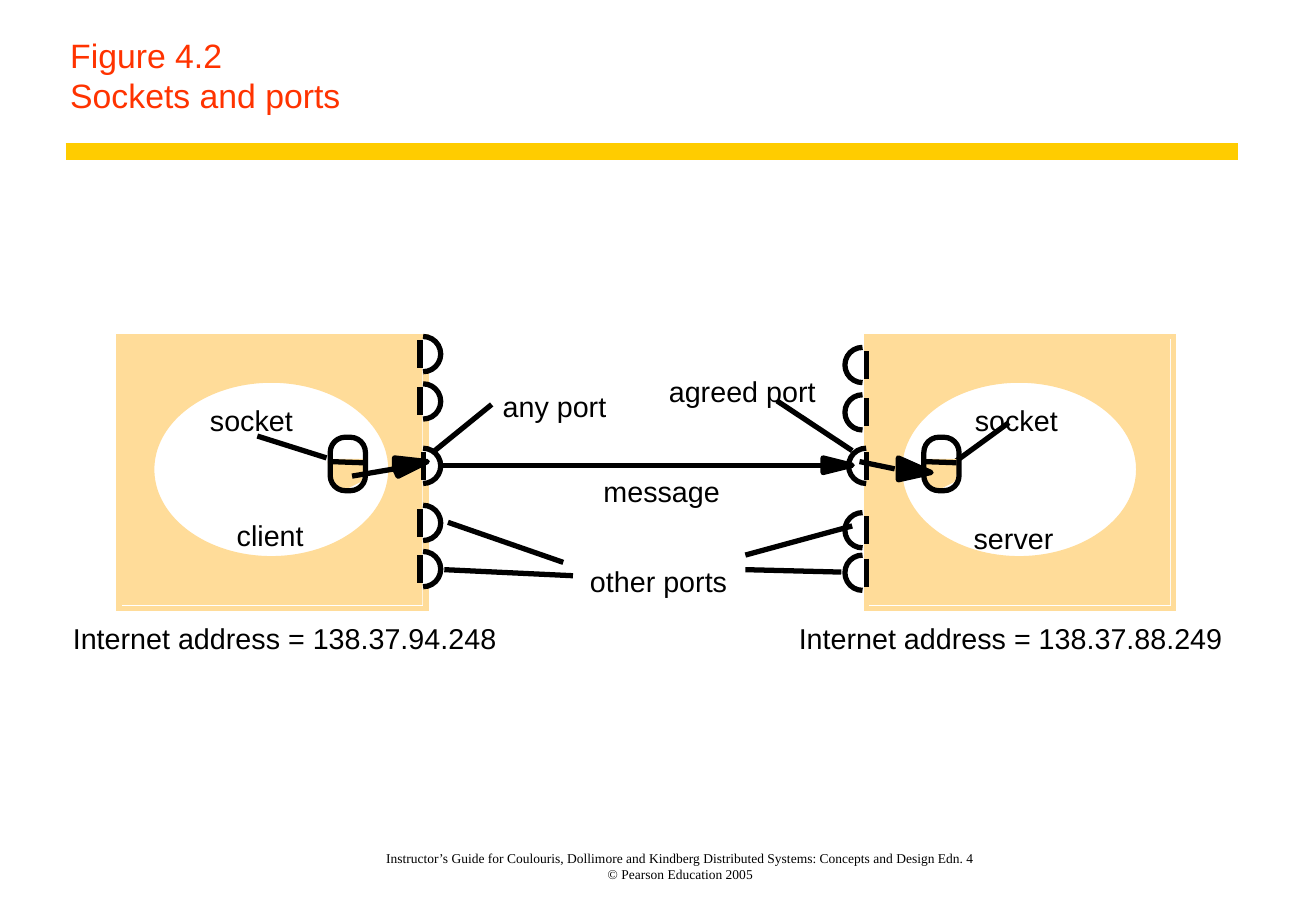
import pptx
import pptx.util
import pptx.dml.color
import pptx.enum.shapes
import pptx.enum.text
import pptx.oxml
import pptx.oxml.ns

PX = 9144  # EMU per px, 100 px to the inch
SHAPE = pptx.enum.shapes.MSO_SHAPE
ANCHOR = pptx.enum.text.MSO_ANCHOR
ALIGN = pptx.enum.text.PP_ALIGN
FIT = pptx.enum.text.MSO_AUTO_SIZE
BLACK, WHITE, SAND, YELLOW, RED = "000000", "FFFFFF", "FFDC99", "FFCC00", "FF3300"
STROKE = 3.12

TITLE = "Figure 4.2\vSockets and ports"
FOOTER = ("Instructor’s Guide for Coulouris, Dollimore and Kindberg "
          "Distributed Systems: Concepts and Design Edn. 4\v© Pearson Education 2005")
LABELS = [  # text, left, top, width
    ("message", 497, 390, 98), ("agreed port", 551, 308, 123),
    ("any port", 414, 320, 88), ("other ports", 486, 464, 115),
    ("socket", 173, 332, 70), ("socket", 803, 332, 70),
    ("client", 195, 426, 57), ("server", 802, 429, 68),
    ("Internet address = 138.37.94.248", 60, 511, 351),
    ("Internet address = 138.37.88.249", 658, 511, 351),
]
HOST_LEFTS = [98, 714]
SOCKET_LEFTS = [272, 761]
PORT_SIZE = 29
RIGHT_HALF, LEFT_HALF = (162, 54), (54, 162)  # arc angles, 0.6 degree units
PORT_GROUPS = [  # half drawn, left, bar x, tops
    (RIGHT_HALF, 334, 346, [277, 316, 416, 454]),
    (RIGHT_HALF, 334, 349, [369]),
    (LEFT_HALF, 696, 714, [286, 325, 422, 457]),
    (LEFT_HALF, 699, 714, [369]),
]
LEADERS = [
    (357, 372, 405, 333), (702, 371, 640, 330), (269, 377, 212, 359),
    (787, 380, 831, 348), (464, 463, 369, 430), (472, 474, 366, 469),
    (693, 471, 614, 469), (614, 457, 702, 433),
]
ARROWS = [  # shaft, head outline
    ((363, 383, 678, 383), [(678, 383), (678, 377), (702, 383), (678, 389)]),
    ((290, 392, 325, 386), [(325, 386), (325, 377), (352, 380), (328, 392)]),
    ((708, 380, 737, 386), [(740, 386), (740, 377), (767, 389), (740, 395)]),
]

prs = pptx.Presentation()
prs.slide_width, prs.slide_height = 1084 * PX, 750 * PX
s = prs.slides.add_slide(prs.slide_layouts[6])


def rgb(color):
    return pptx.dml.color.RGBColor.from_string(color)


def drawing_element(tag):
    return pptx.oxml.parse_xml(
        f'<a:{tag} xmlns:a="http://schemas.openxmlformats.org/drawingml/2006/main"/>')


def paint(sp, fill, line):
    """Set fill and outline; None means neither is drawn."""
    sp.shadow.inherit = False
    for part, color in ((sp.fill, fill), (sp.line.fill, line)):
        if color:
            part.solid()
            part.fore_color.rgb = rgb(color)
        else:
            part.background()
    if line:
        sp.line.width = pptx.util.Pt(STROKE)


def shape(kind, x, y, w, h, fill=None, line=None, adjustments=()):
    sp = s.shapes.add_shape(kind, x * PX, y * PX, w * PX, h * PX)
    for i, value in enumerate(adjustments):
        sp.adjustments[i] = value
    paint(sp, fill, line)
    return sp


def polygon(points, color):
    builder = s.shapes.build_freeform(*points[0], scale=PX)
    builder.add_line_segments(points[1:], close=True)
    paint(builder.convert_to_shape(), color, color)


def line(x1, y1, x2, y2, color=BLACK, width=STROKE):
    c = s.shapes.add_connector(pptx.enum.shapes.MSO_CONNECTOR.STRAIGHT,
                               x1 * PX, y1 * PX, x2 * PX, y2 * PX)
    c.line.color.rgb = rgb(color)
    c.line.width = pptx.util.Pt(width)
    c._element.spPr.append(drawing_element("effectLst"))


def text(words, x, y, w, h, size, color=BLACK, font="Arial", align=ALIGN.LEFT,
         anchor=ANCHOR.TOP, inset=(0, 0), wrap=False, fit=FIT.SHAPE_TO_FIT_TEXT):
    tf = s.shapes.add_textbox(x * PX, y * PX, w * PX, h * PX).text_frame
    side, end = inset
    frame = {"margin_left": side * PX, "margin_right": side * PX,
             "margin_top": end * PX, "margin_bottom": end * PX,
             "word_wrap": wrap, "auto_size": fit, "vertical_anchor": anchor}
    for name, value in frame.items():
        setattr(tf, name, value)
    p = tf.paragraphs[0]
    p.text = words
    p.alignment = align
    for r in p.runs:
        r.font.name, r.font.size = font, pptx.util.Pt(size)
        r.font.color.rgb = rgb(color)


line(54, 125, 1020, 125, YELLOW, 10)
boxed = {"anchor": ANCHOR.BOTTOM, "inset": (10, 5), "wrap": True, "fit": FIT.NONE}
text(FOOTER, 231, 700, 659, 31, 8, font="Times New Roman", align=ALIGN.CENTER, **boxed)
text(TITLE, 48, 25, 972, 75, 20, RED, **boxed)

for x in HOST_LEFTS:
    shape(SHAPE.RECTANGLE, x, 277, 250, 221, fill=SAND)
    border = shape(SHAPE.RECTANGLE, x, 277, 253, 224, line=SAND)
    ln = border._element.spPr.find(pptx.oxml.ns.qn("a:ln"))
    ln.append(drawing_element("miter"))
    shape(SHAPE.OVAL, x + 27, 313, 197, 147, WHITE, SAND)

for half, x, bar_x, tops in PORT_GROUPS:
    for y in tops:
        shape(SHAPE.ARC, x, y, PORT_SIZE, PORT_SIZE, WHITE, BLACK, half)
        line(bar_x, y + 3, bar_x, y + 26)

for label, x, y, w in LABELS:
    text(label, x, y, w, 28, 17)
for leader in LEADERS:
    line(*leader)

for x in SOCKET_LEFTS:
    polygon([(x, 380), (x + 3, 395), (x + 12, 401), (x + 24, 395), (x + 27, 380)], SAND)
    shape(SHAPE.ROUNDED_RECTANGLE, x, 360, 29, 44, line=BLACK, adjustments=[0.43])
    line(x, 380, x + 27, 381)

for shaft, head in ARROWS:
    polygon(head, BLACK)
    line(*shaft)

prs.save("out.pptx")
